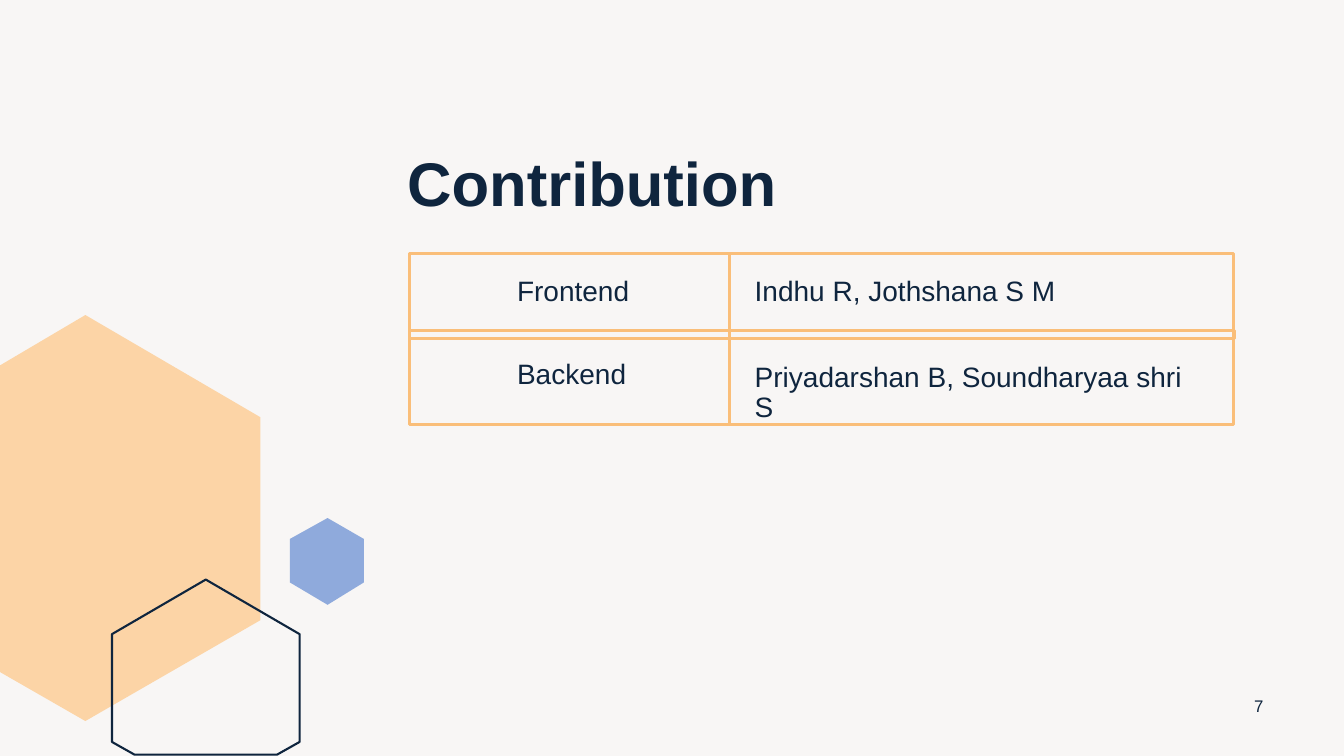
"""Build the Contribution slide: who worked on the frontend and the backend."""
from dataclasses import dataclass

import pptx
import pptx.dml.color
import pptx.enum.shapes
import pptx.enum.text
import pptx.util

Pt = pptx.util.Pt
RGB = pptx.dml.color.RGBColor.from_string
Anchor = pptx.enum.text.MSO_ANCHOR
Align = pptx.enum.text.PP_ALIGN


@dataclass(frozen=True)
class Theme:
    font: str = "Arial"
    background: str = "F8F6F5"
    navy: str = "0F253E"
    peach: str = "FCD4A6"
    blue: str = "8FAADC"
    orange: str = "FABE79"
    title_size: float = 44
    body_size: float = 20
    number_size: float = 12


theme = Theme()


def write(holder, text, size, anchor=Anchor.TOP, align=Align.LEFT, bold=False, spacing=0.9):
    frame = holder.text_frame
    frame.text = text
    frame.word_wrap = True
    frame.auto_size = pptx.enum.text.MSO_AUTO_SIZE.NONE
    frame.vertical_anchor = anchor
    paragraph = frame.paragraphs[0]
    paragraph.alignment = align
    paragraph.line_spacing = spacing
    font = paragraph.runs[0].font
    font.name, font.size, font.bold = theme.font, Pt(size), bold
    font.color.rgb = RGB(theme.navy)


def paint(shape, fill=None, line=None, width=0):
    shape.shadow.inherit = False
    if fill:
        shape.fill.solid()
        shape.fill.fore_color.rgb = RGB(fill)
    else:
        shape.fill.background()
    if line:
        shape.line.color.rgb = RGB(line)
        shape.line.width = Pt(width)
    else:
        shape.line.fill.background()


deck = pptx.Presentation()
deck.slide_width, deck.slide_height = Pt(960), Pt(540)
slide = deck.slides.add_slide(deck.slide_layouts[5])
slide.background.fill.solid()
slide.background.fill.fore_color.rgb = RGB(theme.background)

hexagons = [
    ([(61, 225.4), (185.8, 298), (185.8, 442.8), (60.6, 514.6), (0, 480), (0, 260.6)],
     dict(fill=theme.peach)),
    ([(147.4, 414), (214.4, 452.6), (214.4, 530), (198, 539.4), (96.4, 539.4), (80, 530),
      (80, 452.6)],
     dict(line=theme.navy, width=1.5)),
    ([(233.6, 370), (207.2, 385.4), (207.2, 416.4), (233.6, 431.8), (260, 416.4), (260, 385.4)],
     dict(fill=theme.blue)),
]
for corners, style in hexagons:
    outline = slide.shapes.build_freeform(*corners[0], scale=Pt(1))
    outline.add_line_segments(corners[1:], close=True)
    paint(outline.convert_to_shape(), **style)

title = slide.shapes.title
title.left, title.top, title.width, title.height = Pt(283.6), Pt(103), Pt(676.4), Pt(60.4)
write(title, "Contribution", theme.title_size, anchor=Anchor.MIDDLE, bold=True)

number = slide.shapes.add_textbox(Pt(881.2), Pt(489.6), Pt(36), Pt(28.8))
write(number, "7", theme.number_size, anchor=Anchor.MIDDLE, align=Align.CENTER, spacing=1)

role_column = (292.2, 180.8, 229, 122.2)
divider = (292.2, 236, 589.8, 5.8)
people_column = (521.2, 180.8, 360, 122.2)
for frame_box in (role_column, divider, people_column):
    border = slide.shapes.add_shape(
        pptx.enum.shapes.MSO_SHAPE.RECTANGLE, *map(Pt, frame_box))
    paint(border, line=theme.orange, width=2.25)

entries = [
    ("Frontend", 362.2, 194.6, 147.6),
    ("Backend", 362.2, 254, 147.6),
    ("Indhu R, Jothshana S M", 532, 194.6, 269.2),
    ("Priyadarshan B, Soundharyaa shri S", 532, 255.6, 321),
]
for text, left, top, width in entries:
    entry = slide.shapes.add_textbox(Pt(left), Pt(top), Pt(width), Pt(39.6))
    write(entry, text, theme.body_size)

deck.save("out.pptx")
